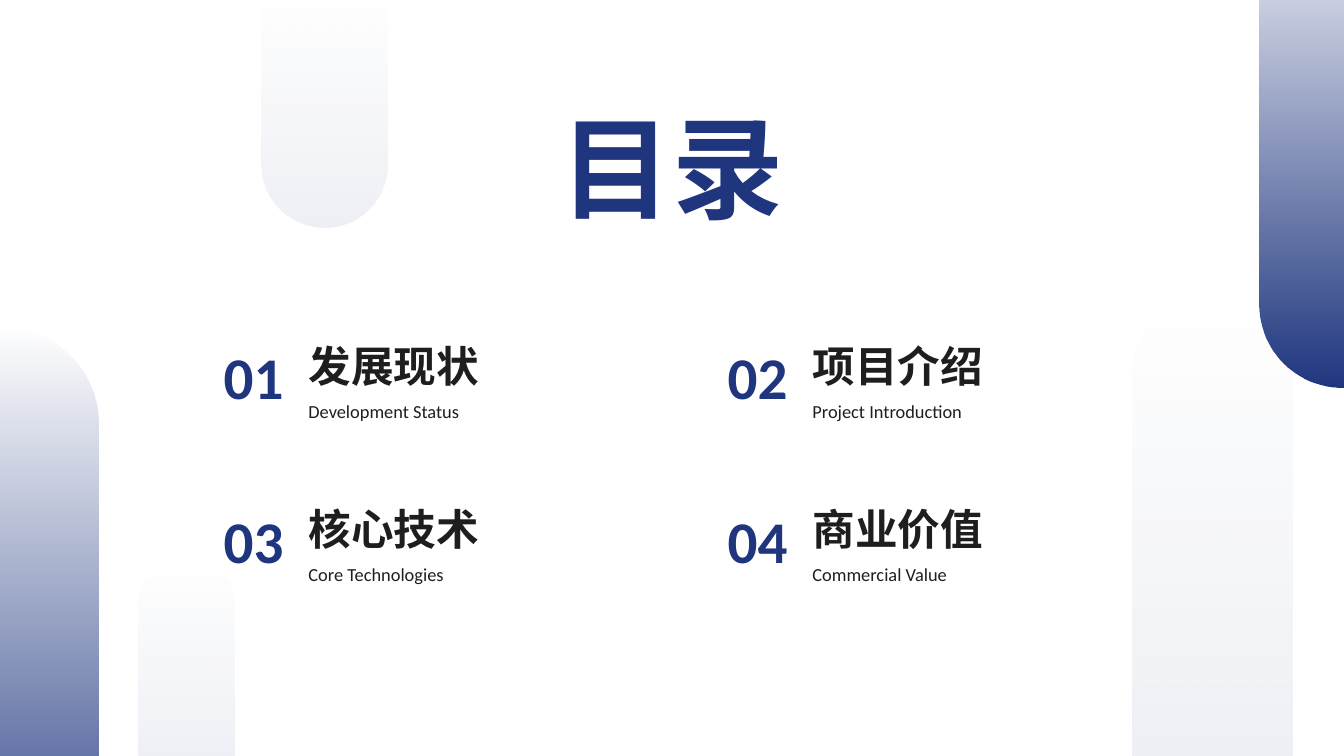
import pptx
import pptx.util
import pptx.dml.color
import pptx.enum.shapes
import pptx.enum.text
import pptx.oxml.ns
from lxml import etree

Inches = pptx.util.Inches
Pt = pptx.util.Pt
qn = pptx.oxml.ns.qn

COLORS = {"navy": "1F367F", "ink": "1E1E1E"}
LATIN, HAN = "Calibri", "Noto Sans CJK SC"

# Left, top, width, height, rounded end, strength of the solid end in percent
PILLS = [
    (16.86, 4.35, 2.37, 7.04, "top", 8),
    (-1.46, 4.86, 2.92, 9.36, "top", 100),
    (18.75, -1.82, 2.47, 7.58, "bottom", 100),
    (2.06, 8.27, 1.43, 3.12, "top", 8),
    (3.89, -0.15, 1.88, 3.54, "bottom", 8),
]

ITEMS = [
    ("发展现状", "Development Status"),
    ("项目介绍", "Project Introduction"),
    ("核心技术", "Core Technologies"),
    ("商业价值", "Commercial Value"),
]


def rgb(name):
    return pptx.dml.color.RGBColor.from_string(COLORS[name])


def add_pill(slide, left, top, width, height, end, solid):
    """Bar with one round end, fading downwards from clear to navy."""
    kind = pptx.enum.shapes.MSO_SHAPE.ROUND_2_SAME_RECTANGLE
    pill = slide.shapes.add_shape(
        kind, Inches(left), Inches(top), Inches(width), Inches(height))
    pill.shadow.inherit = False
    pill.line.fill.background()
    pill.adjustments[0] = 0.5 if end == "top" else 0
    pill.adjustments[1] = 0.5 if end == "bottom" else 0
    pill.fill.gradient()
    pill.fill.gradient_angle = 270
    for stop, alpha in zip(pill.fill.gradient_stops, (0, solid)):
        stop.color.rgb = rgb("navy")
    tints = pill._element.spPr.iter(qn("a:srgbClr"))
    for tint, alpha in zip(list(tints), (0, solid)):
        etree.SubElement(tint, qn("a:alpha"), val=str(alpha * 1000))


def add_text(slide, box, text, size, color, face, bold=True, center=False):
    """Text without margins, set on lines 1.2 times its size."""
    shape = slide.shapes.add_textbox(*[Inches(n) for n in box])
    frame = shape.text_frame
    frame.word_wrap = True
    frame.auto_size = pptx.enum.text.MSO_AUTO_SIZE.SHAPE_TO_FIT_TEXT
    frame.margin_left = frame.margin_right = 0
    frame.margin_top = frame.margin_bottom = 0
    para = frame.paragraphs[0]
    para.text = text
    para.line_spacing = Pt(round(size * 1.2, 1))
    if center:
        para.alignment = pptx.enum.text.PP_ALIGN.CENTER
    font = para.font
    font.name, font.size, font.bold = face, Pt(size), bold
    font.color.rgb = rgb(color)
    props = para._p.pPr.find(qn("a:defRPr"))
    etree.SubElement(props, qn("a:ea"), typeface=face)


def add_item(slide, left, top, number, title, note):
    """Number on the left, title and translation beside it."""
    add_text(slide, (left + 1.26, top, 4.56, 0.76), title, 45.6, "ink", HAN)
    add_text(slide, (left + 1.26, top + 0.89, 4.86, 0.32), note, 19.7, "ink",
             LATIN, bold=False)
    add_text(slide, (left, top + 0.01, 1.13, 1.05), f"{number:02d}", 63.3,
             "navy", LATIN)


def add_agenda(slide, left, top, step_x, step_y):
    """Items in a grid of two columns."""
    for i, (title, note) in enumerate(ITEMS):
        row, col = divmod(i, 2)
        add_item(slide, left + col * step_x, top + row * step_y,
                 i + 1, title, note)


def main():
    deck = pptx.Presentation()
    deck.slide_width, deck.slide_height = Inches(20), Inches(11.25)
    slide = deck.slides.add_slide(deck.slide_layouts[6])

    # Backdrop
    for pill in PILLS:
        add_pill(slide, *pill)

    # Contents
    add_agenda(slide, 3.33, 5.06, 7.5, 2.43)
    add_text(slide, (7.37, 1.47, 5.26, 1.98), "目录", 119.3, "navy", HAN,
             center=True)

    deck.save("out.pptx")


if __name__ == "__main__":
    main()
